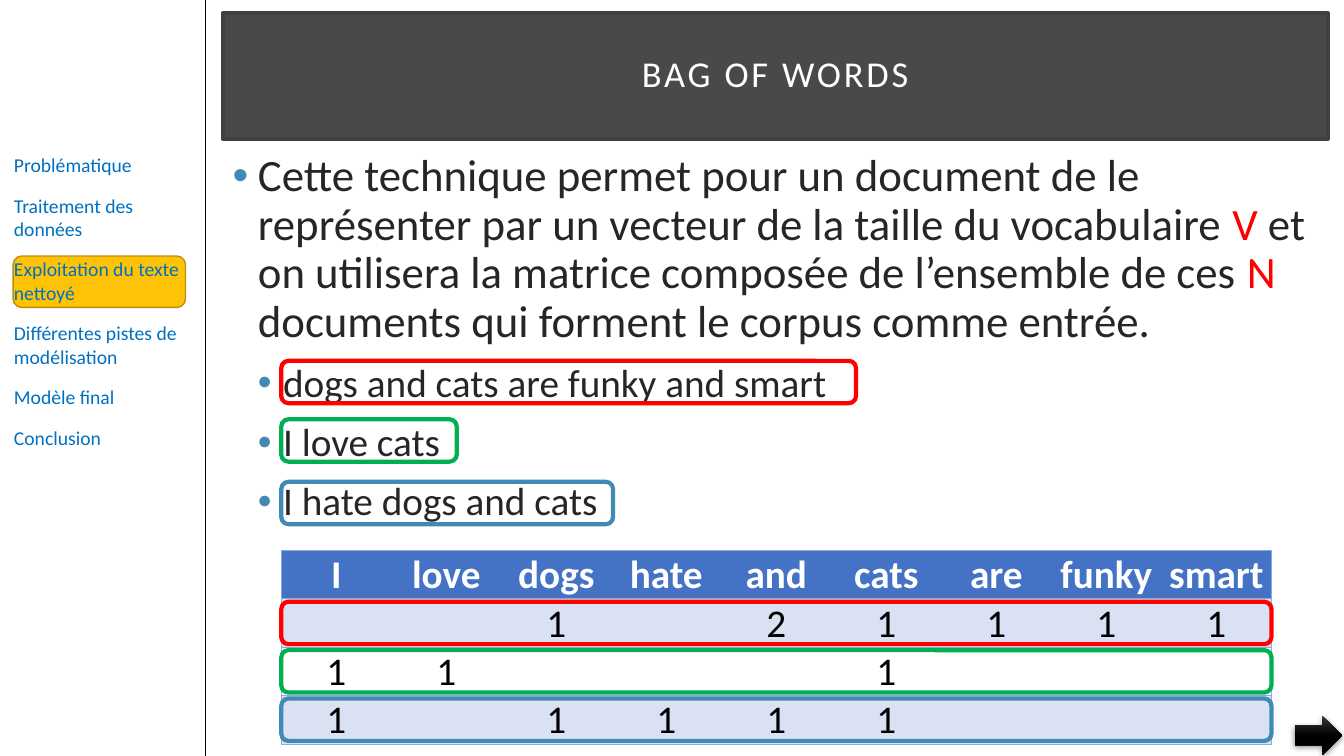
"""Build the "Bag of words" slide with its vocabulary count table."""
from typing import NamedTuple

import lxml.etree
import pptx
import pptx.dml.color
import pptx.enum.shapes
import pptx.enum.text
import pptx.oxml
import pptx.oxml.ns
import pptx.util

Inches = pptx.util.Inches
Pt = pptx.util.Pt
SHAPES = pptx.enum.shapes.MSO_SHAPE
ALIGN = pptx.enum.text.PP_ALIGN
MIDDLE = pptx.enum.text.MSO_ANCHOR.MIDDLE
qn = pptx.oxml.ns.qn

COLORS = {
    "black": "000000", "white": "FFFFFF", "ink": "262626", "link": "0070C0",
    "amber": "FEC306", "amber_edge": "BC9004", "banner": "0D0D0D",
    "banner_edge": "404040", "red": "FF0000", "green": "00B050",
    "blue": "418AB3", "header": "4472C4", "band": "D9E1F2",
    "grid": "8EA9DB", "arrow_top": "393939",
}
FONT = "Calibri"
CHAPTERS = ["Problématique", "Traitement des données", "Exploitation du texte nettoyé",
            "Différentes pistes de modélisation", "Modèle final", "Conclusion"]
INTRO = [
    ("Cette technique permet pour un document de le représenter par un vecteur "
     "de la taille du vocabulaire ", "ink"),
    ("V", "red"),
    (" et on utilisera la matrice composée de l’ensemble de ces ", "ink"),
    ("N", "red"),
    (" documents qui forment le corpus comme entrée.", "ink"),
]
VOCABULARY = ["I", "love", "dogs", "hate", "and", "cats", "are", "funky", "smart"]
TABLE_LEFT, TABLE_TOP, TABLE_WIDTH, ROW_HEIGHT = 2.79, 5.46, 9.82, 0.48
FRAME_HEIGHT = 0.42
NO_TABLE_STYLE = "{2D5ABB26-0587-4C30-8999-92F81FD0307C}"


class Box(NamedTuple):
    left: float
    top: float
    width: float
    height: float

    def emu(self) -> list[int]:
        return [Inches(length) for length in self]


class Document(NamedTuple):
    sentence: str
    color: str
    frame_top: float
    frame_width: float


DOCUMENTS = [
    Document("dogs and cats are funky and smart", "red", 3.58, 5.7),
    Document("I love cats", "green", 4.16, 1.74),
    Document("I hate dogs and cats", "blue", 4.78, 3.29),
]


def rgb(name: str) -> pptx.dml.color.RGBColor:
    return pptx.dml.color.RGBColor.from_string(COLORS[name])


def add_run(paragraph, text: str, size: float, color: str, bold: bool = False):
    run = paragraph.add_run()
    run.text = text
    run.font.name, run.font.size, run.font.bold = FONT, Pt(size), bold
    run.font.color.rgb = rgb(color)
    return run


def next_paragraph(frame, is_first: bool):
    paragraph = frame.paragraphs[0] if is_first else frame.add_paragraph()
    paragraph.space_before = paragraph.space_after = Pt(6)
    return paragraph


def add_box(slide, preset, box: Box, fill: str | None, edge: str | None, weight: float = 1):
    shape = slide.shapes.add_shape(preset, *box.emu())
    shape.shadow.inherit = False
    if fill:
        shape.fill.solid()
        shape.fill.fore_color.rgb = rgb(fill)
    else:
        shape.fill.background()
    if edge:
        shape.line.color.rgb = rgb(edge)
        shape.line.width = Pt(weight)
    else:
        shape.line.fill.background()
    return shape


def add_text_frame(slide, box: Box):
    frame = slide.shapes.add_textbox(*box.emu()).text_frame
    frame.word_wrap = True
    return frame


def set_alpha(color_element, percent: int) -> None:
    lxml.etree.SubElement(color_element, qn("a:alpha"), val=str(percent * 1000))


def add_sidebar(slide) -> None:
    add_box(slide, SHAPES.ROUNDED_RECTANGLE, Box(0.13, 2.54, 1.71, 0.51), "amber", "amber_edge")
    divider = slide.shapes.add_connector(
        pptx.enum.shapes.MSO_CONNECTOR.STRAIGHT, *Box(2.04, 0, 2.04, 7.5).emu())
    divider.line.color.rgb = rgb("black")
    divider.line.width = Pt(1)
    lxml.etree.SubElement(divider._element.spPr, qn("a:effectLst"))
    frame = add_text_frame(slide, Box(0.04, 1.47, 1.93, 3.13))
    for index, chapter in enumerate(CHAPTERS):
        add_run(next_paragraph(frame, index == 0), chapter, 14, "link")


def add_title(slide) -> None:
    banner = add_box(slide, SHAPES.RECTANGLE, Box(2.21, 0.13, 10.96, 1.25),
                     "banner", "banner_edge", 2.5)
    set_alpha(banner._element.spPr.find(qn("a:solidFill"))[0], 75)
    frame = banner.text_frame
    frame.vertical_anchor = MIDDLE
    frame.margin_left = frame.margin_right = Inches(0.2)
    frame.margin_top = frame.margin_bottom = Inches(0.2)
    paragraph = frame.paragraphs[0]
    paragraph.alignment, paragraph.line_spacing = ALIGN.CENTER, 0.9
    run = add_run(paragraph, "BAG OF WORDS", 26, "white")
    run.font._element.set("spc", "200")


def set_bullet(paragraph, indent: float) -> None:
    paragraph.line_spacing = 0.9
    properties = paragraph._p.get_or_add_pPr()
    properties.set("marL", str(Inches(indent)))
    properties.set("indent", str(Inches(-0.25)))
    bullet_color = lxml.etree.SubElement(properties, qn("a:buClr"))
    lxml.etree.SubElement(bullet_color, qn("a:srgbClr"), val=COLORS["blue"])
    lxml.etree.SubElement(properties, qn("a:buFont"), typeface="Arial")
    lxml.etree.SubElement(properties, qn("a:buChar"), char="•")


def add_body(slide) -> None:
    frame = add_text_frame(slide, Box(2.21, 1.47, 10.96, 3.79))
    intro = next_paragraph(frame, True)
    set_bullet(intro, 0.25)
    for text, color in INTRO:
        add_run(intro, text, 32, color)
    for document in DOCUMENTS:
        paragraph = next_paragraph(frame, False)
        paragraph.level = 1
        set_bullet(paragraph, 0.5)
        add_run(paragraph, document.sentence, 28, "ink")


def set_borders(cell, sides: str) -> None:
    properties = cell._tc.get_or_add_tcPr()
    for side in "LRTB":
        edge = lxml.etree.SubElement(properties, qn(f"a:ln{side}"), w=str(Pt(0.5)))
        if side in sides:
            fill = lxml.etree.SubElement(edge, qn("a:solidFill"))
            lxml.etree.SubElement(fill, qn("a:srgbClr"), val=COLORS["grid"])
        else:
            lxml.etree.SubElement(edge, qn("a:noFill"))


def add_counts(slide) -> None:
    counts = [[document.sentence.split().count(word) for word in VOCABULARY]
              for document in DOCUMENTS]
    rows = [VOCABULARY] + [[str(count or "") for count in row] for row in counts]
    box = Box(TABLE_LEFT, TABLE_TOP, TABLE_WIDTH, ROW_HEIGHT * len(rows))
    table = slide.shapes.add_table(len(rows), len(VOCABULARY), *box.emu()).table
    table._tbl.tblPr.find(qn("a:tableStyleId")).text = NO_TABLE_STYLE
    for row_index, row in enumerate(rows):
        for column, text in enumerate(row):
            cell = table.cell(row_index, column)
            left = "L" if column == 0 else ""
            right = "R" if column == len(row) - 1 else ""
            set_borders(cell, "TB" + left + right)
            cell.fill.solid()
            cell.fill.fore_color.rgb = rgb(("header", "band", "white", "band")[row_index])
            cell.vertical_anchor = MIDDLE
            cell.margin_left = cell.margin_right = cell.margin_top = Inches(0.01)
            cell.margin_bottom = 0
            paragraph = cell.text_frame.paragraphs[0]
            paragraph.alignment = ALIGN.CENTER
            if text:
                is_header = row_index == 0
                add_run(paragraph, text, 28, "white" if is_header else "black", is_header)


def add_next_arrow(slide) -> None:
    arrow = add_box(slide, SHAPES.RIGHT_ARROW, Box(12.84, 7.1, 0.47, 0.39), None, None)
    arrow.fill.gradient()
    arrow.fill.gradient_angle = 270
    for stop, color, position in zip(arrow.fill.gradient_stops, ("arrow_top", "black"), (0, 0.5)):
        stop.color.rgb, stop.position = rgb(color), position
    shadow = lxml.etree.SubElement(
        arrow._element.spPr.find(qn("a:effectLst")), qn("a:outerShdw"),
        blurRad=str(Pt(4.4)), dist=str(Pt(1.2)), dir="5400000", rotWithShape="0")
    set_alpha(lxml.etree.SubElement(shadow, qn("a:srgbClr"), val=COLORS["black"]), 45)


def add_frames(slide) -> None:
    for index, document in enumerate(DOCUMENTS, start=1):
        row_top = TABLE_TOP + 0.03 + ROW_HEIGHT * index
        for top, width in ((row_top, TABLE_WIDTH), (document.frame_top, document.frame_width)):
            add_box(slide, SHAPES.ROUNDED_RECTANGLE, Box(TABLE_LEFT, top, width, FRAME_HEIGHT),
                    None, document.color, 3)


def main() -> None:
    deck = pptx.Presentation()
    deck.slide_width, deck.slide_height = Inches(13.33), Inches(7.5)
    slide = deck.slides.add_slide(deck.slide_layouts[6])
    for add_part in (add_sidebar, add_title, add_body, add_counts, add_next_arrow, add_frames):
        add_part(slide)
    deck.save("out.pptx")


if __name__ == "__main__":
    main()
